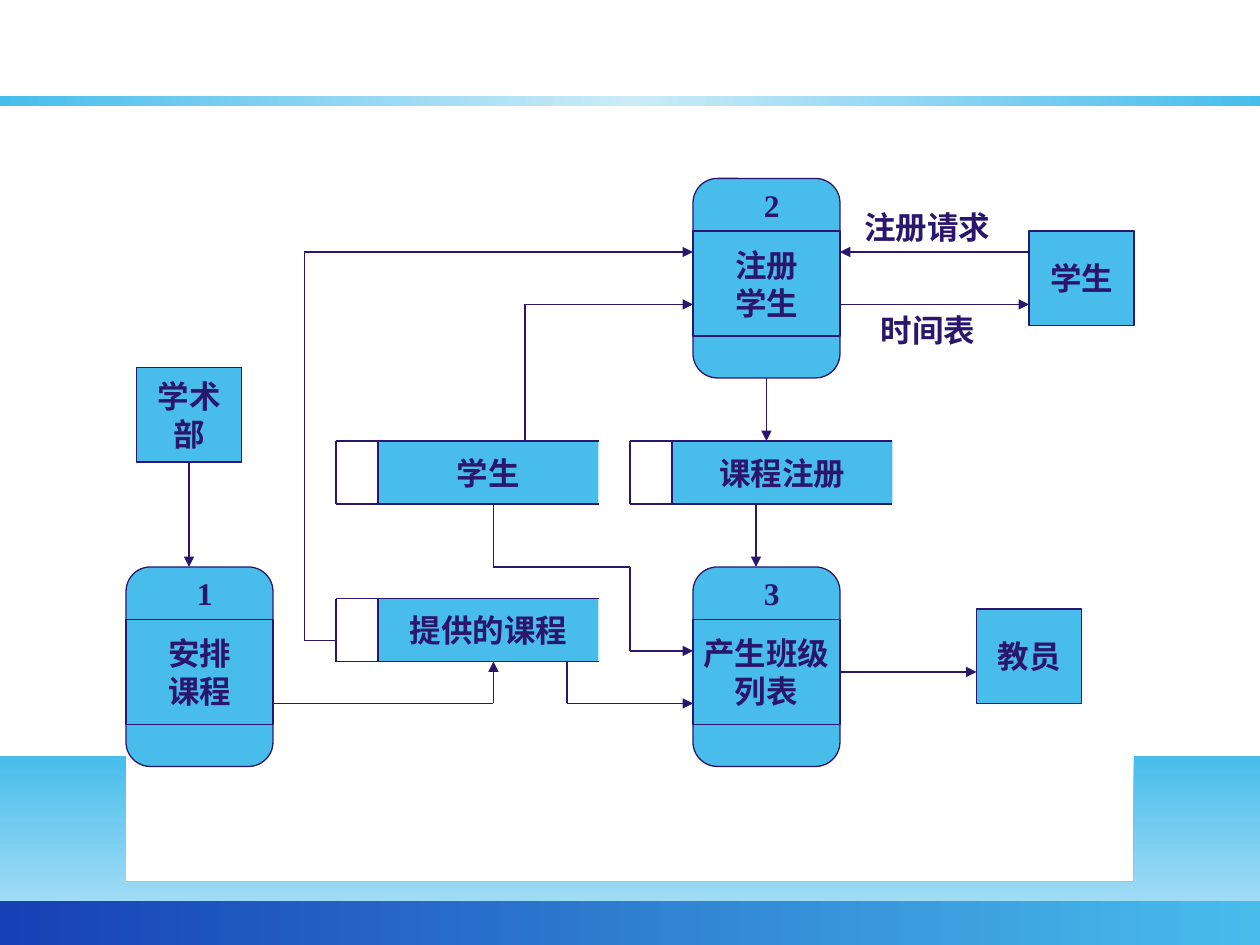
from itertools import pairwise
from typing import NamedTuple

from lxml import etree
from pptx import Presentation
from pptx.dml.color import RGBColor
from pptx.enum.shapes import MSO_CONNECTOR, MSO_SHAPE
from pptx.enum.text import MSO_ANCHOR, MSO_AUTO_SIZE, PP_ALIGN
from pptx.oxml.ns import qn
from pptx.util import Inches, Pt

RECT, ROUNDED = MSO_SHAPE.RECTANGLE, MSO_SHAPE.ROUNDED_RECTANGLE
STRAIGHT = MSO_CONNECTOR.STRAIGHT
MIDDLE, CENTER, LEFT = MSO_ANCHOR.MIDDLE, PP_ALIGN.CENTER, PP_ALIGN.LEFT
GROW = MSO_AUTO_SIZE.SHAPE_TO_FIT_TEXT

SKY, INK, ROYAL, PALE, MIST = "48BDEC", "2B166E", "1640B6", "E2F3FB", "CBEBF8"
FONT = "Times New Roman"
UNIT = Inches(1) // 12  # the slide is a grid of 120 columns by 90 rows


class Process(NamedTuple):
    number: str
    text: str
    col: int
    row: int


class Box(NamedTuple):
    text: str
    col: int
    row: int


class Label(NamedTuple):
    text: str
    left: float
    top: float
    width: float


class Flow(NamedTuple):
    points: list[tuple[int, int]]
    arrow: bool = True


PROCESSES = [Process("2", "注册\n学生", 66, 17),
             Process("3", "产生班级\n列表", 66, 54),
             Process("1", "安排\n课程", 12, 54)]
ENTITIES = [Box("学术\n部", 13, 35), Box("学生", 98, 22), Box("教员", 93, 58)]
STORES = [Box("课程注册", 60, 42), Box("学生", 32, 42), Box("提供的课程", 32, 57)]
LABELS = [Label("注册请求", 6.76, 1.6, 1.2), Label("时间表", 6.89, 2.42, 0.95)]
FLOWS = [
    Flow([(80, 64), (93, 64)]),
    Flow([(80, 29), (98, 29)]),
    Flow([(98, 24), (80, 24)]),
    Flow([(73, 36), (73, 42)]),
    Flow([(72, 48), (72, 54)]),
    Flow([(50, 42), (50, 29), (66, 29)]),
    Flow([(32, 61), (29, 61), (29, 24), (66, 24)]),
    Flow([(26, 67), (47, 67), (47, 63)]),
    Flow([(18, 44), (18, 54)]),
    Flow([(54, 63), (54, 67), (66, 67)]),
    Flow([(47, 48), (47, 54), (60, 54), (60, 62), (66, 62)]),
]


def rgb(color: str) -> RGBColor:
    return RGBColor.from_string(color)


def write(sp, text: str, align=CENTER) -> None:
    tf = sp.text_frame
    tf.word_wrap = False
    tf.text = text
    for p in tf.paragraphs:
        p.alignment = align
        p.font.name, p.font.size, p.font.bold = FONT, Pt(18), True
        p.font.color.rgb = rgb(INK)


def add_block(shapes, col, row, cols, rows, text="", kind=RECT, outlined=True):
    sp = shapes.add_shape(kind, col * UNIT, row * UNIT, cols * UNIT, rows * UNIT)
    sp.shadow.inherit = False
    sp.fill.solid()
    sp.fill.fore_color.rgb = rgb(SKY)
    if outlined:
        sp.line.color.rgb = rgb(INK)
        sp.line.width = Pt(0.75)
    else:
        sp.line.fill.background()
    if text:
        sp.text_frame.vertical_anchor = MIDDLE
        write(sp, text)


def add_flow(shapes, flow: Flow) -> None:
    for start, end in pairwise(flow.points):
        c = shapes.add_connector(STRAIGHT, *(v * UNIT for v in start + end))
        c.line.color.rgb = rgb(INK)
        c.line.width = Pt(0.75)
        spPr = c._element.spPr
        etree.SubElement(spPr, qn("a:effectLst"))
        if flow.arrow and end == flow.points[-1]:
            etree.SubElement(spPr.find(qn("a:ln")), qn("a:tailEnd"), type="triangle")


def add_process(shapes, process: Process) -> None:
    number, text, col, row = process
    add_block(shapes, col, row, 14, 19, kind=ROUNDED)
    add_block(shapes, col, row + 5, 14, 10, text)
    add_block(shapes, col + 4, row + 1, 7, 3, number, outlined=False)


def add_store(shapes, store: Box) -> None:
    text, col, row = store
    right, bottom, divider = col + 25, row + 6, col + 4
    add_block(shapes, divider, row, 21, 6, text, outlined=False)
    add_flow(shapes, Flow([(right, row), (col, row), (col, bottom), (right, bottom)], False))
    add_flow(shapes, Flow([(divider, row), (divider, bottom)], False))


def add_label(shapes, label: Label) -> None:
    sp = shapes.add_textbox(Inches(label.left), Inches(label.top),
                            Inches(label.width), Inches(0.4))
    write(sp, label.text, LEFT)
    sp.text_frame.auto_size = GROW


def shade(sp, angle: int, *colors: str) -> None:
    """Fill with evenly spaced gradient stops, the angle running clockwise."""
    sp.shadow.inherit = False
    sp.line.fill.background()
    sp.fill.gradient()
    sp.fill.gradient_angle = 360 - angle
    stops = sp._element.spPr.find(qn("a:gradFill")).find(qn("a:gsLst"))
    for old in list(stops):
        stops.remove(old)
    for i, color in enumerate(colors):
        gs = etree.SubElement(stops, qn("a:gs"), pos=str(100000 * i // (len(colors) - 1)))
        etree.SubElement(gs, qn("a:srgbClr"), val=color)


def bezier(p0, p1, p2, p3, steps: int = 40) -> list[tuple[float, float]]:
    def at(t: float, axis: int) -> float:
        s = 1 - t
        return (s**3 * p0[axis] + 3 * s * s * t * p1[axis]
                + 3 * s * t * t * p2[axis] + t**3 * p3[axis])
    return [(at(i / steps, 0), at(i / steps, 1)) for i in range(1, steps + 1)]


def add_backdrop(shapes) -> None:
    # Wave along the foot of the slide
    right, dip, left = (10, 5.95), (4.92, 7.04), (0, 6.02)
    curve = (bezier(right, (8.49, 6.95), (6.42, 7.01), dip)
             + bezier(dip, (3.42, 7.07), (1.11, 6.78), left))
    builder = shapes.build_freeform(10, 7.5, scale=Inches(1))
    builder.add_line_segments([right, *curve, (0, 7.5)], close=True)
    shade(builder.convert_to_shape(), 90, SKY, PALE)
    # Bottom bar and header rule
    for top, height, colors in ((7.15, 0.36, (SKY, ROYAL)), (0.76, 0.08, (SKY, MIST, SKY))):
        bar = shapes.add_shape(RECT, 0, Inches(top), Inches(10), Inches(height))
        shade(bar, 180, *colors)


def main() -> None:
    prs = Presentation()
    prs.slide_width, prs.slide_height = Inches(10), Inches(7.5)
    shapes = prs.slides.add_slide(prs.slide_layouts[6]).shapes
    add_backdrop(shapes)
    # Data flow diagram
    for process in PROCESSES:
        add_process(shapes, process)
    for text, col, row in ENTITIES:
        add_block(shapes, col, row, 10, 9, text)
    for store in STORES:
        add_store(shapes, store)
    for flow in FLOWS:
        add_flow(shapes, flow)
    for label in LABELS:
        add_label(shapes, label)
    prs.save("out.pptx")


if __name__ == "__main__":
    main()
